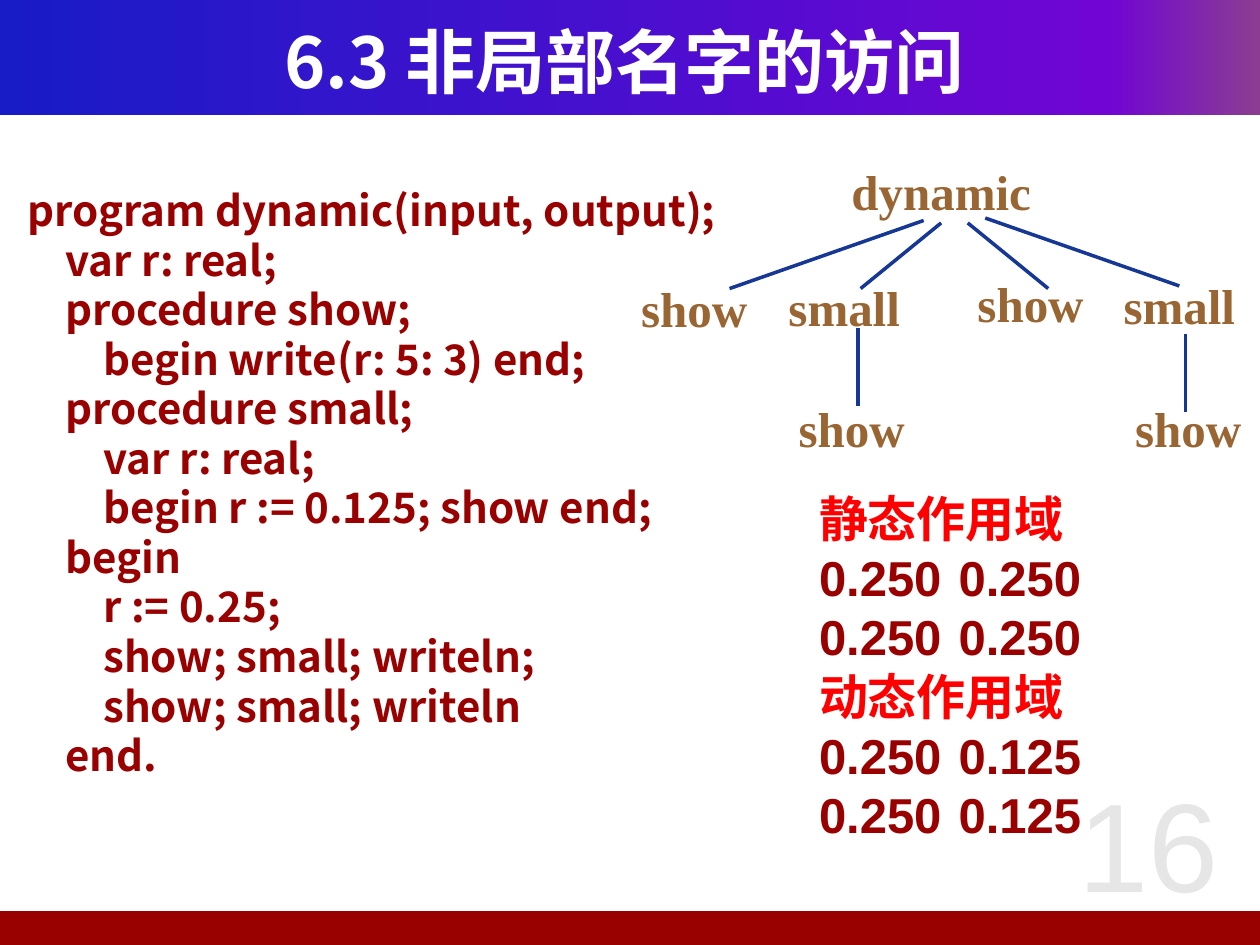
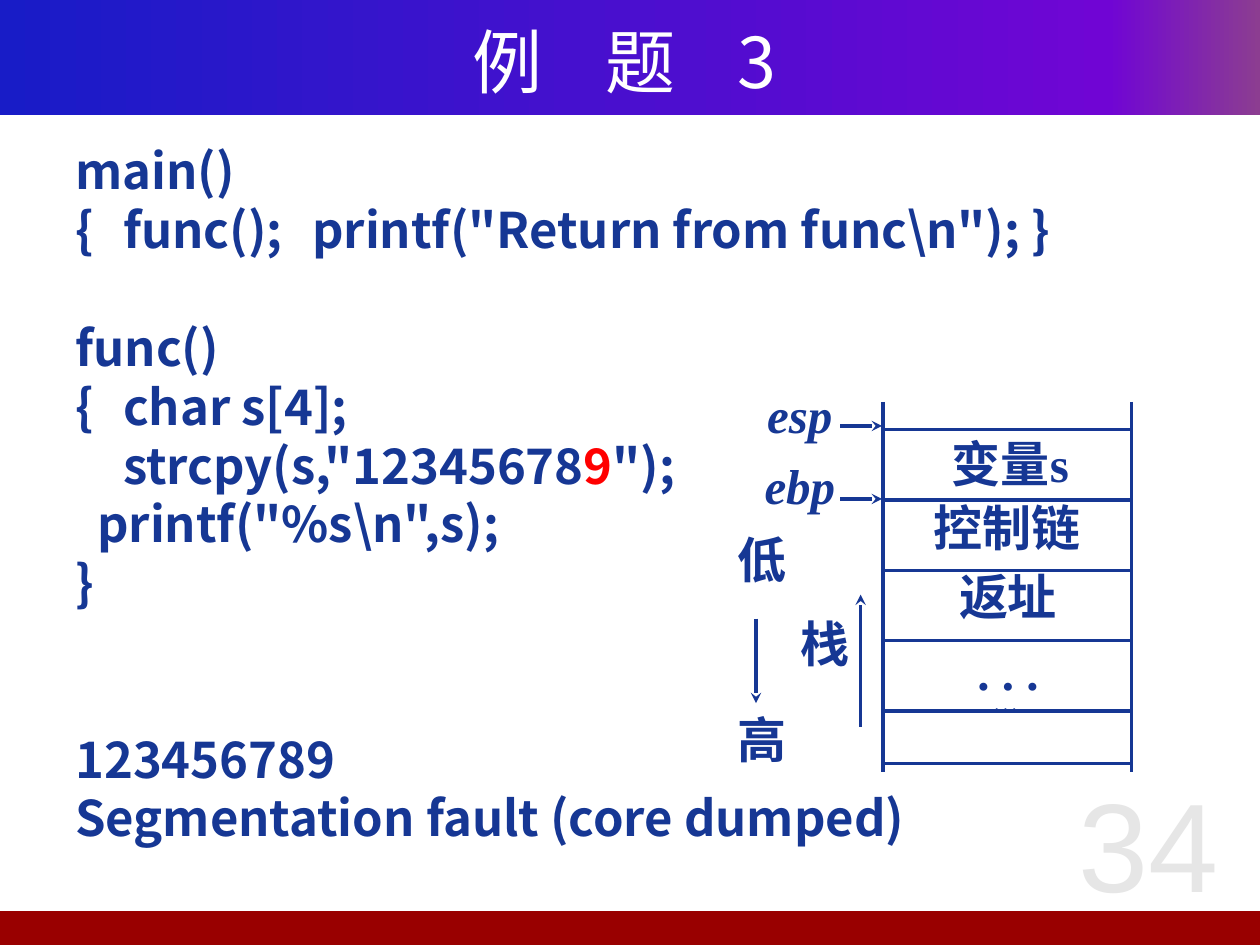
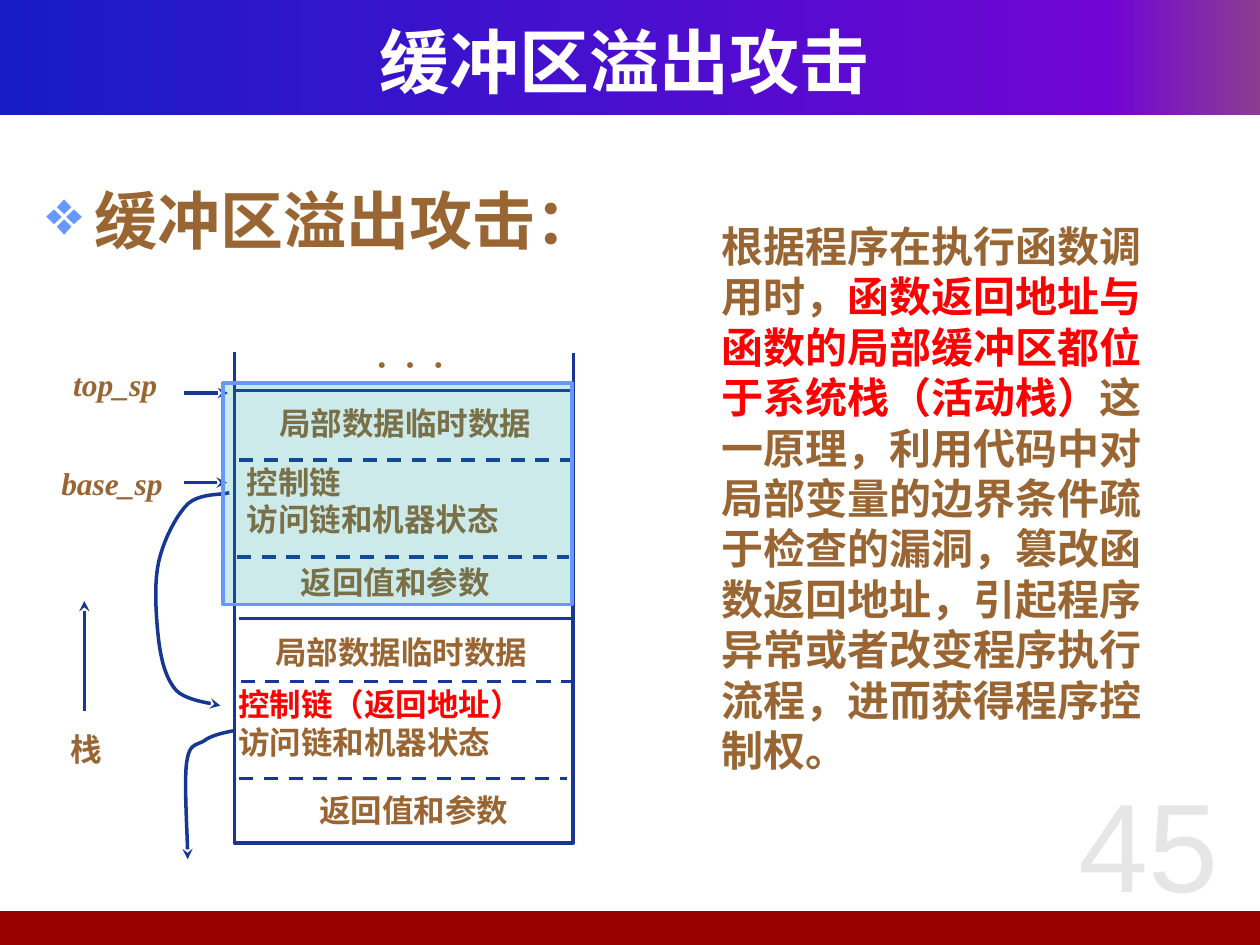
"""Build three lecture slides on non-local names, stack layout and buffer overflow."""
from dataclasses import dataclass, replace

from lxml import etree
from pptx import Presentation
from pptx.dml.color import RGBColor
from pptx.enum.dml import MSO_LINE
from pptx.enum.shapes import MSO_CONNECTOR, MSO_SHAPE
from pptx.enum.text import MSO_ANCHOR, PP_ALIGN
from pptx.oxml.ns import qn
from pptx.util import Pt

RECTANGLE = MSO_SHAPE.RECTANGLE
STRAIGHT = MSO_CONNECTOR.STRAIGHT
DASH = MSO_LINE.DASH
TOP, MIDDLE = MSO_ANCHOR.TOP, MSO_ANCHOR.MIDDLE
LEFT, CENTER, JUSTIFY = PP_ALIGN.LEFT, PP_ALIGN.CENTER, PP_ALIGN.JUSTIFY

WHITE = RGBColor(0xFF, 0xFF, 0xFF)
MAROON = RGBColor(0x99, 0x00, 0x00)
RED = RGBColor(0xFF, 0x00, 0x00)
BROWN = RGBColor(0x99, 0x66, 0x33)
NAVY = RGBColor(0x16, 0x37, 0x94)
SKY = RGBColor(0x66, 0x99, 0xFF)
TEAL = RGBColor(0x00, 0x99, 0x99)
PALE = RGBColor(0xE6, 0xE6, 0xE6)
BAND_STOPS = [(0, RGBColor(0x18, 0x1C, 0xC7)), (88, RGBColor(0x70, 0x05, 0xD4)),
              (100, RGBColor(0x8C, 0x3D, 0x91))]

SANS, SERIF = "Noto Sans CJK SC", "Times New Roman"
WIDTH, HEIGHT = 720, 540
PLAIN_INSETS = (7.2, 3.6, 7.2, 3.6)
CELL_INSETS = (4.3, 6.5, 4.3, 3.6)
HANG = 27.36


@dataclass(frozen=True)
class Style:
    """Hold the look of a paragraph and its spans."""
    size: float
    color: RGBColor
    font: str = SERIF
    bold: bool = True
    italic: bool = False
    align: int = CENTER
    track: float = 0
    left: float = 0
    hang: float = 0
    before: float = 0
    leading: float = 1


TITLE = Style(40, WHITE, SANS)
NUMBER = Style(72, PALE, "Arial", bold=False)
PROGRAM = Style(24, MAROON, SANS, align=JUSTIFY, before=2.4, leading=0.9)
LISTING = Style(28, NAVY, SANS, align=JUSTIFY)
NODE = Style(28, BROWN, align=JUSTIFY)
RESULT = Style(28, MAROON, "Arial", align=LEFT)
FRAME = Style(28, NAVY)
REGISTER = replace(FRAME, italic=True)
CELL = Style(18, BROWN)
POINTER = replace(CELL, italic=True)
HEADING = Style(36, BROWN, SANS, align=LEFT, left=HANG, hang=HANG, before=7.2)
PROSE = Style(24, BROWN, "Roboto", align=LEFT)

PROGRAM_INDENT = 21.7
PROGRAM_LINES = [
    (0, "program dynamic(input, output);"),
    (1, "var r: real;"),
    (1, "procedure show;"),
    (2, "begin write(r: 5: 3) end;"),
    (1, "procedure small;"),
    (2, "var r: real;"),
    (2, "begin r := 0.125; show end;"),
    (1, "begin"),
    (2, "r := 0.25;"),
    (2, "show; small; writeln;"),
    (2, "show; small; writeln"),
    (1, "end."),
]
CALL_NODES = [
    ("dynamic", 479.5, 88.6, 120.2), ("show", 359.3, 155.5, 84.2),
    ("small", 443.5, 154.8, 84.2), ("show", 551.5, 152.6, 83.5),
    ("small", 635, 154, 90), ("show", 449.3, 223.9, 86.4), ("show", 641.5, 223.9, 82),
]
CALL_EDGES = [
    (527.8, 126, 416.9, 164.9), (537.8, 127.4, 491.8, 164.9),
    (553, 127.4, 599, 164.9), (563, 124.6, 673.9, 163.4),
    (490.3, 187.2, 490.3, 231.8), (677.5, 190.8, 677.5, 235.4),
]
SCOPE_RESULTS = [("静态作用域", "0.250\t 0.250", 275.8), ("动态作用域", "0.250\t 0.125", 377.3)]

BLANK_LINE = 33.6
BRACE = {"left": HANG, "hang": HANG}
LISTING_LINES = [
    ({}, "main()"),
    (BRACE, "{\tfunc();\tprintf(\"Return from func\\n\"); }"),
    ({"before": BLANK_LINE}, "func()"),
    (BRACE, "{\tchar s[4];"),
    ({"left": HANG}, "strcpy(s,\"12345678", ("9", {"color": RED}), "\");"),
    ({"left": 12.5}, "printf(\"%s\\n\",s);"),
    ({}, "}"),
    ({"before": 2 * BLANK_LINE}, "123456789"),
    ({}, "Segmentation fault (core dumped)"),
]
STACK_LEFT, STACK_RIGHT = 504.7, 646.6
STACK_TOP, STACK_BOTTOM = 229.7, 441.4
STACK_RULES = [245.5 + 40.2 * row for row in range(5)] + [436.3]
STACK_LABELS = [
    ("变量s", 527, 244.1, 100.8, FRAME), ("控制链", 514.1, 280.8, 122.4, FRAME),
    ("返址", 525.6, 320.4, 100.8, FRAME), (". . .", 525.6, 362.9, 100.8, FRAME),
    (". . .", 524.2, 392.4, 100.8, replace(FRAME, size=10, bold=False)),
    ("esp", 425, 216, 64.1, REGISTER), ("ebp", 425, 257, 64.1, REGISTER),
    ("低", 408.2, 298.8, 54, FRAME), ("高", 408.2, 401.8, 54, FRAME),
    ("栈", 444.2, 347, 54, FRAME),
]
STACK_ARROWS = [
    (480.2, 243.4, 504, 243.4), (480.2, 285.1, 504, 285.1),
    (491.8, 415.4, 491.8, 339.8), (432, 353.5, 432, 401.8),
]

RECORD_LABELS = [
    (["⋅ ⋅ ⋅"], 153.4, 190.8, 162, replace(CELL, track=2.25)),
    (["局部数据临时数据"], 133.2, 224.6, 196.6, CELL),
    (["控制链", "访问链和机器状态"], 136.8, 257.8, 195.1, replace(CELL, align=JUSTIFY)),
    (["返回值和参数"], 144.7, 315.4, 162, CELL),
    (["局部数据临时数据"], 133.2, 355, 192.2, CELL),
    ([({"color": RED}, "控制链（返回地址）"), "访问链和机器状态"],
     131.8, 385.2, 195.1, replace(CELL, align=JUSTIFY)),
    (["返回值和参数"], 155.5, 445.7, 162, CELL),
    (["top_sp"], 23, 202.3, 85.7, POINTER), (["base_sp"], 23, 258.5, 82.1, POINTER),
]
RECORD_BOX = (133.9, 223.2, 193.7, 258.5)
RECORD_HIGHLIGHT = (127.4, 218.9, 199.4, 126.7)
RECORD_EDGES = [
    (136.8, 353.5, 326.9, 353.5), (133.9, 200.9, 133.9, 223.2), (327.6, 201.6, 327.6, 224.6),
]
RECORD_DASHES = [
    (136.8, 262.8, 328.3, 262.8), (135.4, 318.2, 325.4, 318.2),
    (137.5, 389.5, 326.9, 389.5), (136.8, 445, 324, 445),
]
RECORD_ARROWS = [
    (105.1, 224.6, 130.3, 224.6), (105.1, 275.8, 129.6, 275.8), (48.2, 406.1, 48.2, 343.4),
]
LINK_CURVES = [
    [(131, 281.5), (127.4, 283), (114.5, 281.5), (107.3, 288), (100.8, 294.5),
     (93.6, 308.2), (90.7, 321.1), (87.8, 334.1), (89.3, 353.5), (90.7, 365.8),
     (92.2, 378), (95, 388.1), (100.8, 394.6), (106.6, 400.3), (120.2, 401.8), (126, 403.2)],
    [(133.2, 417.6), (130.3, 418.3), (121, 419.8), (116.6, 423.4), (111.6, 426.2),
     (108, 424.8), (106.6, 436.3), (105.1, 447.8), (107.3, 479.5), (107.3, 491)],
]
ATTACK_SPANS = [
    "根据程序在执行函数调用时，",
    ("函数返回地址与函数的局部缓冲区都位于系统栈（活动栈）", {"color": RED}),
    "这一原理，利用代码中对局部变量的边界条件疏于检查的漏洞，篡改函数返回地址，"
    "引起程序异常或者改变程序执行流程，进而获得程序控制权。",
]
WIDE_SPACE = (" ", {"track": 27})


def add_span(para, text, style):
    """Add one run in the given style."""
    span = para.add_run()
    span.text = text
    font = span.font
    font.name, font.size = style.font, Pt(style.size)
    font.bold, font.italic = style.bold, style.italic
    font.color.rgb = style.color
    props = span._r.get_or_add_rPr()
    if style.track:
        props.set("spc", str(round(style.track * 100)))
    etree.SubElement(props, qn("a:ea")).set("typeface", SANS)


def add_text(page, area, lines, style, insets=PLAIN_INSETS, anchor=TOP, wrap=True):
    """Add a text box; a line is a string or a tuple of style changes and spans."""
    box = page.shapes.add_textbox(*map(Pt, area))
    frame = box.text_frame
    frame.word_wrap, frame.vertical_anchor = wrap, anchor
    (frame.margin_left, frame.margin_top,
     frame.margin_right, frame.margin_bottom) = map(Pt, insets)
    for index, line in enumerate(lines):
        changes, *spans = ({}, line) if isinstance(line, str) else line
        look = replace(style, **changes)
        para = frame.add_paragraph() if index else frame.paragraphs[0]
        para.alignment, para.line_spacing = look.align, look.leading
        para.space_before = Pt(look.before)
        props = para._p.get_or_add_pPr()
        props.set("marL", str(Pt(look.left)))
        props.set("indent", str(-Pt(look.hang)))
        for span in spans:
            text, extra = (span, {}) if isinstance(span, str) else span
            add_span(para, text, replace(look, **extra))
    return box


def add_bullet(box, symbol, color):
    """Give the first paragraph of a box a coloured bullet."""
    props = box.text_frame.paragraphs[0]._p.get_or_add_pPr()
    tint = etree.SubElement(props, qn("a:buClr"))
    etree.SubElement(tint, qn("a:srgbClr")).set("val", str(color))
    etree.SubElement(props, qn("a:buChar")).set("char", symbol)


def add_box(page, area, fill=None, line=None, opacity=None):
    """Add a rectangle with an optional fill and outline."""
    box = page.shapes.add_shape(RECTANGLE, *map(Pt, area))
    box.shadow.inherit = False
    if fill is None:
        box.fill.background()
    else:
        box.fill.solid()
        box.fill.fore_color.rgb = fill
    if opacity is not None:
        tint = box._element.spPr.find(qn("a:solidFill")).find(qn("a:srgbClr"))
        etree.SubElement(tint, qn("a:alpha")).set("val", str(opacity * 1000))
    if line is None:
        box.line.fill.background()
    else:
        box.line.color.rgb, box.line.width = line, Pt(2)
    return box


def ink_line(line, arrow=False):
    """Colour a line and optionally end it in an arrowhead."""
    line.color.rgb, line.width = NAVY, Pt(2)
    if arrow:
        etree.SubElement(line._get_or_add_ln(), qn("a:tailEnd")).set("type", "stealth")


def add_lines(page, ends, arrow=False, dashed=False):
    """Add straight connectors between pairs of points."""
    for end in ends:
        link = page.shapes.add_connector(STRAIGHT, *map(Pt, end))
        if dashed:
            link.line.dash_style = DASH
        ink_line(link.line, arrow)
        etree.SubElement(link._element.spPr, qn("a:effectLst"))


def curve_points(controls, steps=10):
    """Return points along a chain of cubic curves."""
    points = [controls[0]]
    for first in range(0, len(controls) - 1, 3):
        corners = controls[first:first + 4]
        for step in range(1, steps + 1):
            t = step / steps
            weights = ((1 - t) ** 3, 3 * t * (1 - t) ** 2, 3 * t * t * (1 - t), t ** 3)
            points.append(tuple(sum(w * corner[axis] for w, corner in zip(weights, corners))
                                for axis in (0, 1)))
    return points


def add_curve(page, controls):
    """Add an open curved arrow."""
    start, *rest = [(Pt(x), Pt(y)) for x, y in curve_points(controls)]
    builder = page.shapes.build_freeform(*start)
    builder.add_line_segments(rest, close=False)
    curve = builder.convert_to_shape()
    curve.shadow.inherit = False
    curve.fill.background()
    ink_line(curve.line, arrow=True)


def add_page(deck, number, *title_spans, bold=True):
    """Add a slide with the shared bands, title and number."""
    page = deck.slides.add_slide(deck.slide_layouts[6])
    band = add_box(page, (0, 0, WIDTH, 65.5))
    band.fill.gradient()
    band.fill.gradient_angle = 0
    stops = band._element.spPr.find(qn("a:gradFill")).find(qn("a:gsLst"))
    stops.clear()
    for percent, color in BAND_STOPS:
        stop = etree.SubElement(stops, qn("a:gs"), pos=str(percent * 1000))
        etree.SubElement(stop, qn("a:srgbClr"), val=str(color))
    add_box(page, (-2.9, 520.6, 722.9, 19.4), MAROON)
    add_text(page, (23.8, 12.2, 666, 44.6), [({"bold": bold}, *title_spans)], TITLE,
             anchor=MIDDLE)
    add_text(page, (592.6, 434.2, 127.4, 102.2), [number], NUMBER)
    return page


def build_scope_page(deck):
    """Show the program, its call tree and both scope results."""
    page = add_page(deck, "16", "6.3 非局部名字的访问")
    lines = [({"left": level * PROGRAM_INDENT}, text) for level, text in PROGRAM_LINES]
    add_text(page, (8.6, 105.1, 671.8, 426.2), lines, PROGRAM)
    for name, left, top, width in CALL_NODES:
        add_text(page, (left, top, width, 38.9), [name], NODE)
    add_lines(page, CALL_EDGES)
    for scope, values, top in SCOPE_RESULTS:
        add_text(page, (468, top, 149.8, 108), [({"color": RED}, scope), values, values],
                 RESULT, insets=(0, 3.6, 0, 3.6), wrap=False)


def build_example_page(deck):
    """Show the overflowing function beside its stack."""
    page = add_page(deck, "34", "例", WIDE_SPACE, "题", WIDE_SPACE, "3", bold=False)
    add_text(page, (36, 77, 648, 413.3), LISTING_LINES, LISTING)
    add_lines(page, [(x, STACK_TOP, x, STACK_BOTTOM) for x in (STACK_LEFT, STACK_RIGHT)])
    add_lines(page, [(STACK_LEFT, y, STACK_RIGHT, y) for y in STACK_RULES])
    for label, left, top, width, style in STACK_LABELS:
        add_text(page, (left, top, width, 47.5), [label], style)
    add_lines(page, STACK_ARROWS, arrow=True)


def build_attack_page(deck):
    """Explain the attack beside two activation records."""
    page = add_page(deck, "45", "缓冲区溢出攻击")
    heading = add_text(page, (19.4, 100.1, 648, 62.6), ["缓冲区溢出攻击："], HEADING)
    add_bullet(heading, "❖", SKY)
    add_text(page, (405.4, 122.4, 266.4, 323.3), [({}, *ATTACK_SPANS)], PROSE)
    add_box(page, RECORD_BOX, line=NAVY)
    add_lines(page, RECORD_EDGES)
    add_lines(page, RECORD_DASHES, dashed=True)
    for lines, left, top, width, style in RECORD_LABELS:
        add_text(page, (left, top, width, 13.7 + 21.6 * len(lines)), lines, style, CELL_INSETS)
    add_text(page, (25.2, 406.1, 48.2, 43.2), ["栈"], CELL, anchor=MIDDLE, wrap=False)
    add_lines(page, RECORD_ARROWS, arrow=True)
    for controls in LINK_CURVES:
        add_curve(page, controls)
    add_box(page, RECORD_HIGHLIGHT, TEAL, SKY, opacity=20)


def main():
    """Build and save the deck."""
    deck = Presentation()
    deck.slide_width, deck.slide_height = Pt(WIDTH), Pt(HEIGHT)
    build_scope_page(deck)
    build_example_page(deck)
    build_attack_page(deck)
    deck.save("out.pptx")


if __name__ == "__main__":
    main()
